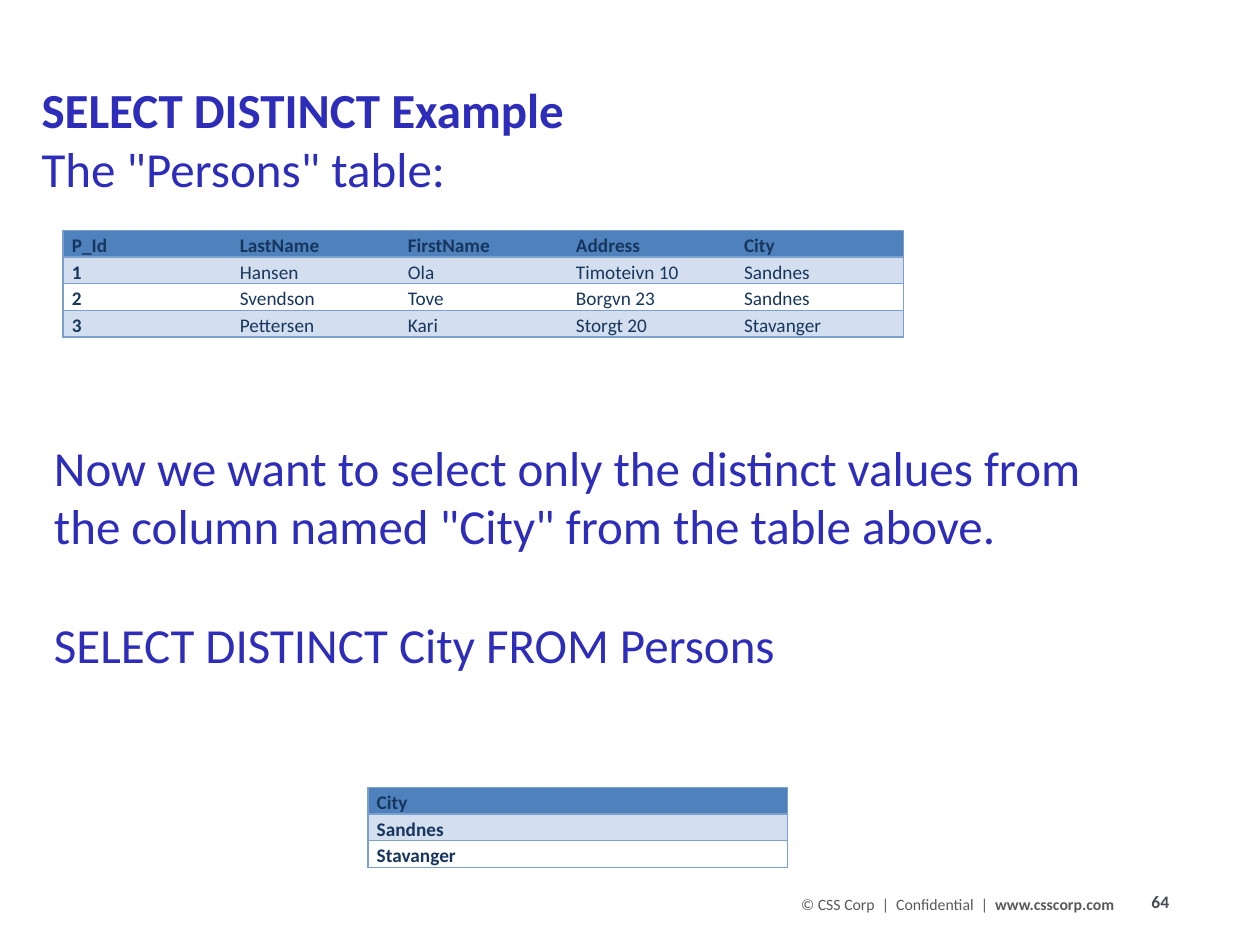
from lxml.etree import SubElement
from pptx import Presentation
from pptx.dml.color import RGBColor
from pptx.enum.text import MSO_ANCHOR
from pptx.oxml.ns import qn
from pptx.util import Inches, Pt

FONT = "Calibri"
HEADING_BLUE = RGBColor(0x2D, 0x2D, 0xB9)
CELL_TEXT = RGBColor(0x17, 0x36, 0x5D)
HEADER_FILL = RGBColor(0x4F, 0x81, 0xBD)
BAND_FILL = RGBColor(0xD3, 0xDF, 0xEE)
BORDER = RGBColor(0x7B, 0xA0, 0xCD)
PAGE_GREY = RGBColor(0x48, 0x4C, 0x52)
FOOTER_GREY = RGBColor(0x58, 0x59, 0x5B)

ROW_HEIGHT = 0.21
PERSONS = [
    ["P_Id", "LastName", "FirstName", "Address", "City"],
    ["1", "Hansen", "Ola", "Timoteivn 10", "Sandnes"],
    ["2", "Svendson", "Tove", "Borgvn 23", "Sandnes"],
    ["3", "Pettersen", "Kari", "Storgt 20", "Stavanger"],
]
CITIES = [["City"], ["Sandnes"], ["Stavanger"]]


def style_font(font, size, color, bold=None):
    font.name = FONT
    font.size = Pt(size)
    font.color.rgb = color
    font.bold = bold


def add_text(slide, box, paragraphs, size, color, wrap=True, side_inset=0.1,
             anchor=MSO_ANCHOR.TOP, gap=0):
    """Add a text box; each paragraph is a list of (text, bold) runs."""
    frame = slide.shapes.add_textbox(*map(Inches, box)).text_frame
    frame.word_wrap = wrap
    frame.vertical_anchor = anchor
    frame.margin_left = frame.margin_right = Inches(side_inset)
    for index, runs in enumerate(paragraphs):
        paragraph = frame.add_paragraph() if index else frame.paragraphs[0]
        if index and gap:
            paragraph.space_before = Pt(gap)
        style_font(paragraph.font, size, color)
        for text, bold in runs:
            run = paragraph.add_run()
            run.text = text
            run.font.bold = bold


def set_borders(cell, first, last):
    """Rule the cell above and below, and at the sides only on the table's edge."""
    sides = {"a:lnL": first, "a:lnR": last, "a:lnT": True, "a:lnB": True}
    properties = cell._tc.get_or_add_tcPr()
    for tag, visible in sides.items():
        line = SubElement(properties, qn(tag), w=str(Pt(1)))
        if visible:
            fill = SubElement(line, qn("a:solidFill"))
            SubElement(fill, qn("a:srgbClr"), val=str(BORDER))
        else:
            SubElement(line, qn("a:noFill"))


def fill_row(cell, row):
    if row and row % 2 == 0:
        cell.fill.background()
    else:
        cell.fill.solid()
        cell.fill.fore_color.rgb = BAND_FILL if row else HEADER_FILL


def add_data_table(slide, left, top, width, data):
    columns = len(data[0])
    table = slide.shapes.add_table(
        len(data), columns, Inches(left), Inches(top),
        Inches(width), Inches(ROW_HEIGHT * len(data))).table
    table.horz_banding = False
    for row, values in enumerate(data):
        for column, value in enumerate(values):
            cell = table.cell(row, column)
            cell.margin_left = cell.margin_right = Inches(0.07)
            cell.margin_top = cell.margin_bottom = 0
            set_borders(cell, column == 0, column == columns - 1)
            fill_row(cell, row)
            cell.text = value
            paragraph = cell.text_frame.paragraphs[0]
            paragraph.line_spacing = 1.15
            style_font(paragraph.font, 11, CELL_TEXT, row == 0 or column == 0)


def main():
    presentation = Presentation()
    presentation.slide_width = Inches(10)
    presentation.slide_height = Inches(7.5)
    slide = presentation.slides.add_slide(presentation.slide_layouts[6])

    add_text(slide, (9.04, 7.02, 0.79, 0.27), [[("64", True)]], 10, PAGE_GREY,
             wrap=False)
    add_text(slide, (6.26, 7.05, 3.08, 0.25),
             [[("© CSS Corp  |  Confidential  |  ", False),
               ("www.csscorp.com", True)]], 9, FOOTER_GREY)

    add_data_table(slide, 0.5, 1.83, 6.67, PERSONS)
    add_text(slide, (0.33, 0.58, 4.2, 1.04),
             [[("SELECT DISTINCT Example", True)],
              [('The "Persons" table:', False)]],
             28, HEADING_BLUE, wrap=False, side_inset=0,
             anchor=MSO_ANCHOR.MIDDLE)

    add_data_table(slide, 2.92, 6.25, 3.33, CITIES)
    add_text(slide, (0.33, 3.42, 8.58, 2.29),
             [[("Now we want to select only the distinct values from "
                'the column named "City" from the table above.', False)],
              [("SELECT DISTINCT City FROM Persons", False)]],
             28, HEADING_BLUE, gap=34)

    presentation.save("out.pptx")


if __name__ == "__main__":
    main()
